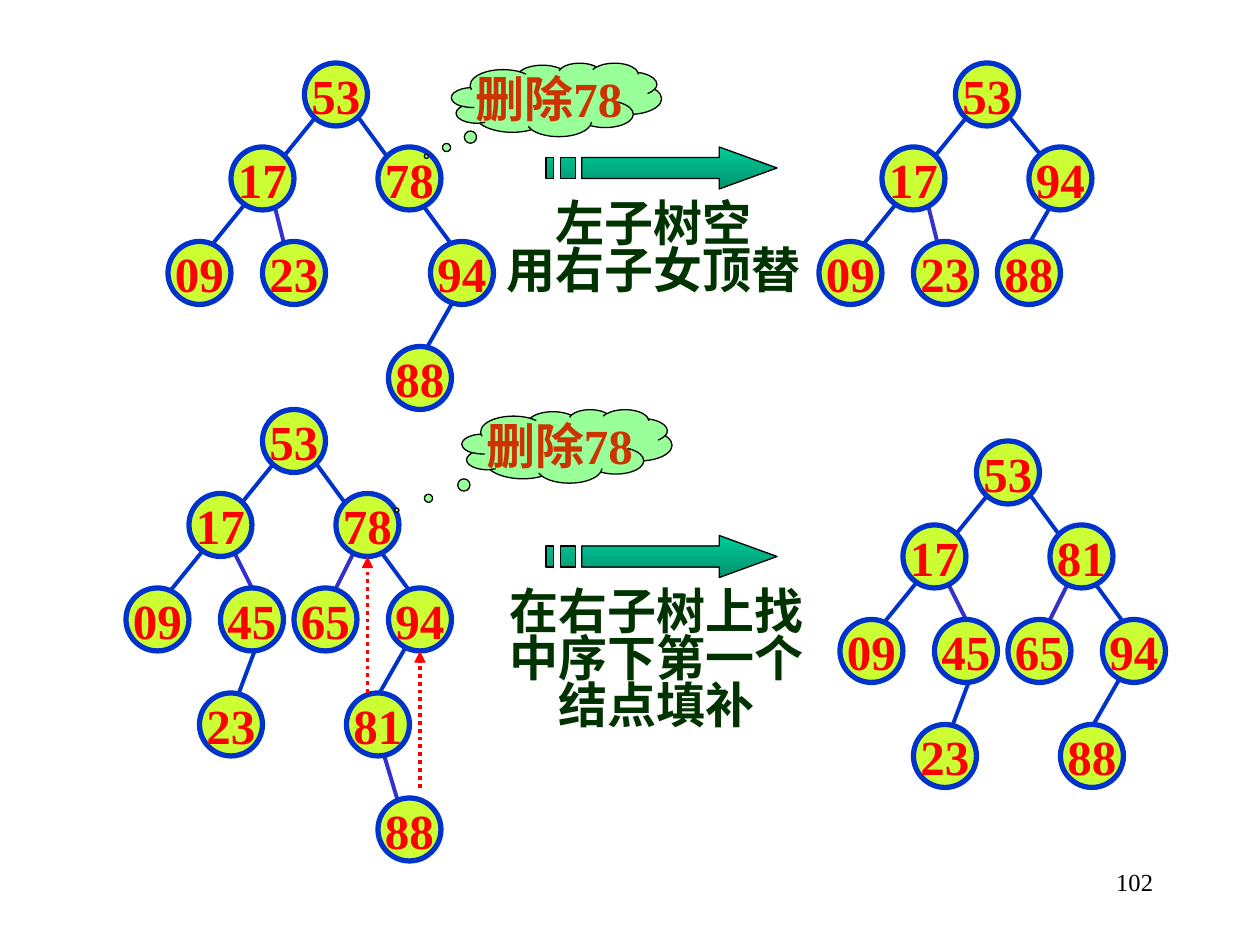
import lxml.etree
import pptx
import pptx.dml.color
import pptx.enum.shapes
import pptx.enum.text
import pptx.oxml.ns
import pptx.util

RGB = pptx.dml.color.RGBColor
Pt = pptx.util.Pt
SHAPE = pptx.enum.shapes.MSO_SHAPE
ALIGN = pptx.enum.text.PP_ALIGN
MIDDLE = pptx.enum.text.MSO_ANCHOR.MIDDLE
qn = pptx.oxml.ns.qn

SCALE = 7620
NODE = 60
FONT = "Times New Roman"
BLACK = RGB(0x00, 0x00, 0x00)
RED = RGB(0xFF, 0x00, 0x00)
RUST = RGB(0xCC, 0x33, 0x00)
BLUE = RGB(0x00, 0x33, 0xCC)
VIOLET = RGB(0x33, 0x33, 0xCC)
LIME = RGB(0xCC, 0xFF, 0x33)
MINT = RGB(0x99, 0xFF, 0x99)
FOREST = RGB(0x00, 0x33, 0x00)
TEAL = RGB(0x00, 0xCC, 0x99)
DEEP = RGB(0x00, 0x92, 0x6D)

SPINE = [("53", 130, 0), ("17", 60, 80), ("09", 0, 170)]
LEFT = (150, 40, 20, 200, BLUE)
RIGHT = (180, 50, 290, 200, BLUE)
FULL = SPINE + [("94", 250, 170), ("45", 90, 170), ("23", 70, 270), ("65", 160, 170)]
LINKS = [
    LEFT, RIGHT,
    (220, 130, 190, 190, VIOLET),
    (130, 210, 100, 290, BLUE),
    (100, 130, 130, 190, VIOLET),
    (270, 220, 230, 290, BLUE),
]
TREES = [
    ((160, 60),
     SPINE + [("78", 200, 80), ("88", 210, 270), ("94", 250, 170), ("23", 90, 170)],
     [LEFT, RIGHT, (100, 130, 120, 210, VIOLET), (270, 230, 230, 300, BLUE)]),
    ((780, 60),
     SPINE + [("94", 200, 80), ("88", 170, 170), ("23", 90, 170)],
     [LEFT, (180, 50, 230, 110, BLUE), (100, 120, 120, 200, VIOLET),
      (230, 120, 190, 190, BLUE)]),
    ((120, 390),
     FULL + [("78", 200, 80), ("81", 210, 270), ("88", 240, 370)],
     LINKS + [(240, 310, 270, 410, VIOLET)]),
    ((800, 420), FULL + [("81", 200, 80), ("88", 210, 270)], LINKS),
]
CLOUDS = [((430, 60, 200, 70), (-0.62, 0.77)), ((440, 390, 200, 70), (-0.81, 0.87))]
ARROWS = [(520, 140), (520, 510)]
NOTES = [
    ((467, 188, 311, 102), ["左子树空", "用右子女顶替"]),
    ((470, 558, 310, 146), ["在右子树上找中序下第一个结点填补"]),
]
MOVES = [(350, 660, 350, 530), (400, 750, 400, 620)]


def px(*nums):
    return [round(num * SCALE) for num in nums]


def write(shape, lines, size=28, color=FOREST, bold=True, align=ALIGN.CENTER,
          space=None, wrap=True, anchor=None):
    frame = shape.text_frame
    frame.word_wrap = wrap
    if anchor is not None:
        frame.vertical_anchor = anchor
    for rank, line in enumerate(lines):
        para = frame.add_paragraph() if rank else frame.paragraphs[0]
        para.alignment = align
        para.line_spacing = space
        run = para.add_run()
        run.text = line
        run.font.name = FONT
        run.font.size = Pt(size)
        run.font.bold = bold
        run.font.color.rgb = color


def paint(shape, fill, line, width):
    shape.shadow.inherit = False
    shape.fill.solid()
    shape.fill.fore_color.rgb = fill
    shape.line.color.rgb = line
    shape.line.width = Pt(width)


def link(slide, ends, color):
    edge = slide.shapes.add_connector(
        pptx.enum.shapes.MSO_CONNECTOR.STRAIGHT, *px(*ends))
    edge.line.color.rgb = color
    edge.line.width = Pt(2.25)
    lxml.etree.SubElement(edge._element.spPr, qn("a:effectLst"))
    return edge


def tree(slide, spot, nodes, edges):
    left, top = spot
    for x1, y1, x2, y2, color in edges:
        link(slide, (left + x1, top + y1, left + x2, top + y2), color)
    for key, x, y in nodes:
        node = slide.shapes.add_shape(SHAPE.OVAL, *px(left + x, top + y, NODE, NODE))
        paint(node, LIME, BLUE, 3)
        write(node, [key], color=RED, wrap=False, anchor=MIDDLE)


def cloud(slide, box, tip):
    shape = slide.shapes.add_shape(SHAPE.CLOUD_CALLOUT, *px(*box))
    shape.adjustments[0], shape.adjustments[1] = tip
    paint(shape, MINT, BLACK, 0.75)
    write(shape, ["删除78"], color=RUST, wrap=False, anchor=MIDDLE)


def arrow(slide, spot):
    head = [(165, 0), (165, 10), (34, 10), (34, 30), (165, 30), (165, 40), (220, 20)]
    bars = [[(x, 10), (x, 30), (end, 30), (end, 10)] for x, end in ((14, 28), (0, 7))]
    build = slide.shapes.build_freeform(*head[0], scale=SCALE)
    build.add_line_segments(head[1:], close=True)
    for bar in bars:
        build.move_to(*bar[0])
        build.add_line_segments(bar[1:], close=True)
    shape = build.convert_to_shape(*px(*spot))
    paint(shape, TEAL, BLACK, 0.75)
    shape.fill.gradient()
    shape.fill.gradient_angle = 270
    for stop, color in zip(shape.fill.gradient_stops, (TEAL, DEEP)):
        stop.color.rgb = color


def note(slide, box, lines, **form):
    write(slide.shapes.add_textbox(*px(*box)), lines, **form)


def move(slide, ends):
    edge = link(slide, ends, RED)
    line = edge._element.spPr.find(qn("a:ln"))
    lxml.etree.SubElement(line, qn("a:prstDash"), val="sysDot")
    lxml.etree.SubElement(line, qn("a:tailEnd"), type="triangle")


def main():
    deck = pptx.Presentation()
    deck.slide_width, deck.slide_height = px(1200, 900)
    slide = deck.slides.add_slide(deck.slide_layouts[6])
    for spot, nodes, edges in TREES:
        tree(slide, spot, nodes, edges)
    for box, tip in CLOUDS:
        cloud(slide, box, tip)
    for spot in ARROWS:
        arrow(slide, spot)
    for box, lines in NOTES:
        note(slide, box, lines, space=0.8)
    for ends in MOVES:
        move(slide, ends)
    note(slide, (860, 820, 250, 60), ["102"], size=14, color=BLACK, bold=False,
         align=ALIGN.RIGHT)
    deck.save("out.pptx")


if __name__ == "__main__":
    main()
